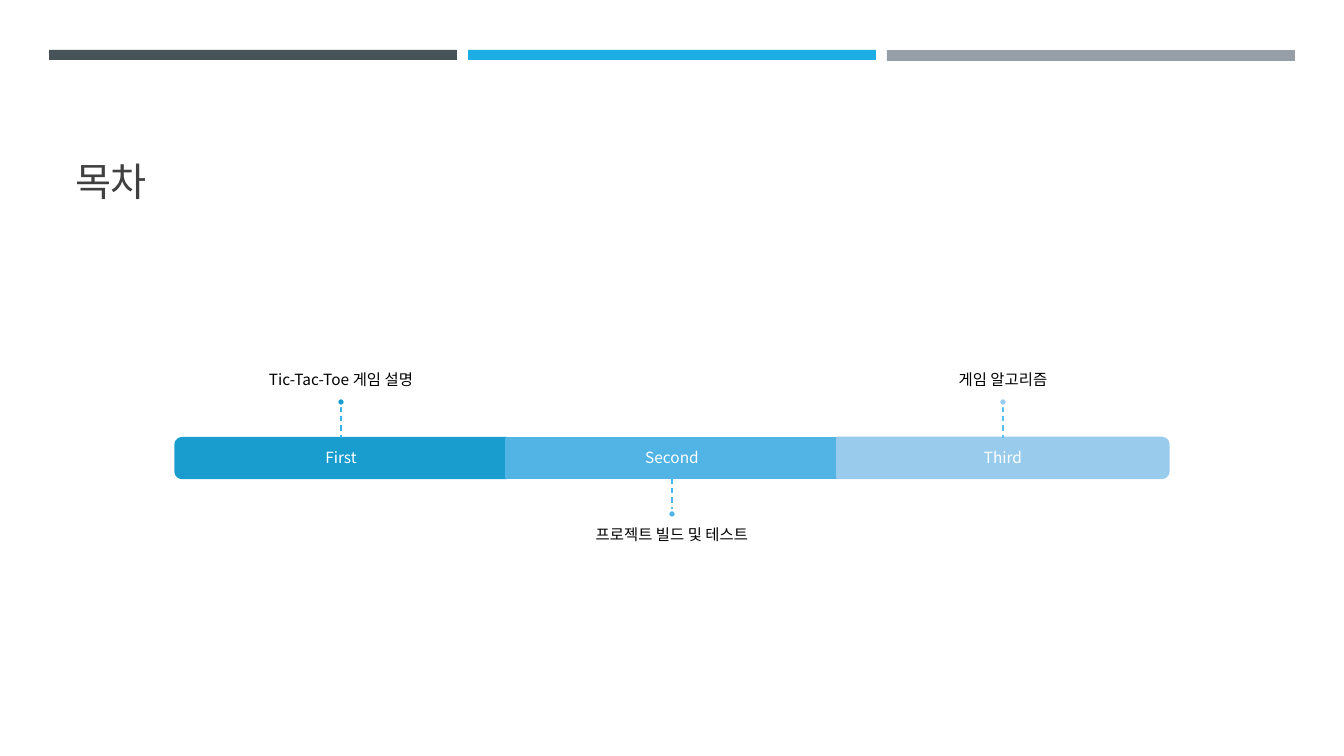
from lxml import etree
from pptx import Presentation, util as u
from pptx.dml.color import RGBColor
from pptx.enum import dml, shapes, text
from pptx.oxml import ns

SLATE = RGBColor(0x46, 0x53, 0x59)
CYAN = RGBColor(0x1C, 0xAD, 0xE4)
GREY = RGBColor(0x96, 0x9F, 0xA7)
CHARCOAL = RGBColor(0x40, 0x40, 0x40)
BLACK = RGBColor(0x00, 0x00, 0x00)
WHITE = RGBColor(0xFF, 0xFF, 0xFF)
DEEP_BLUE = RGBColor(0x19, 0x9D, 0xCF)
MID_BLUE = RGBColor(0x52, 0xB3, 0xE5)
PALE_BLUE = RGBColor(0x99, 0xCB, 0xEC)
DEEP_DASH = RGBColor(0x36, 0xB3, 0xE9)
MID_DASH = RGBColor(0x48, 0xB8, 0xEC)
PALE_DASH = RGBColor(0x5A, 0xBE, 0xEF)

Preset = shapes.MSO_SHAPE
Anchor = text.MSO_ANCHOR
Align = text.PP_ALIGN


class SlideBuilder:
    """Draws styled elements on one slide, with lengths in px."""

    scale = 914400 / 100.8
    font = "Noto Sans CJK KR"
    outline = u.Pt(1.75)

    def __init__(self, width, height):
        self.presentation = Presentation()
        self.presentation.slide_width = self.px(width)
        self.presentation.slide_height = self.px(height)
        self.slide = self.presentation.slides.add_slide(self.presentation.slide_layouts[6])

    def px(self, length):
        return u.Emu(round(length * self.scale))

    def box(self, *lengths):
        return [self.px(length) for length in lengths]

    def shape(self, preset, left, top, width, height, fill, line=None, rotation=0):
        shape = self.slide.shapes.add_shape(preset, *self.box(left, top, width, height))
        shape.shadow.inherit = False
        shape.rotation = rotation
        shape.fill.solid()
        shape.fill.fore_color.rgb = fill
        if line is None:
            shape.line.fill.background()
        else:
            shape.line.color.rgb = line
            shape.line.width = self.outline

    def text(self, words, left, top, width, height, size, color, anchor,
             align=Align.CENTER, insets=(0, 0, 0, 0), spacing=0.9):
        frame = self.slide.shapes.add_textbox(*self.box(left, top, width, height)).text_frame
        frame.word_wrap = True
        frame.vertical_anchor = anchor
        (frame.margin_left, frame.margin_top,
         frame.margin_right, frame.margin_bottom) = self.box(*insets)
        paragraph = frame.paragraphs[0]
        paragraph.alignment = align
        paragraph.line_spacing = spacing
        run = paragraph.add_run()
        run.text = words
        run.font.size = u.Pt(size)
        run.font.color.rgb = color
        run.font.name = self.font
        east_asian = etree.SubElement(run.font._element, ns.qn("a:ea"))
        east_asian.set("typeface", self.font)

    def dashed_line(self, x, top, bottom, color):
        line = self.slide.shapes.add_connector(
            shapes.MSO_CONNECTOR.STRAIGHT, *self.box(x, top, x, bottom))
        line.line.color.rgb = color
        line.line.width = u.Pt(1)
        line.line.dash_style = dml.MSO_LINE.DASH
        etree.SubElement(line._element.spPr, ns.qn("a:effectLst"))

    def segment(self, center, middle, width, height, color, rotation):
        if rotation:
            self.shape(Preset.ROUND_2_SAME_RECTANGLE, center - height / 2,
                       middle - width / 2, height, width, color, color, rotation)
        else:
            self.shape(Preset.RECTANGLE, center - width / 2,
                       middle - height / 2, width, height, color, color)

    def step(self, center, name, topic, color, dash, rotation, above):
        middle, width, height = 458, 331, 40
        self.segment(center, middle, width, height, color, rotation)
        self.text(name, center - width / 2, middle - height / 2, width, height,
                  11, WHITE, Anchor.MIDDLE, insets=(9, 9, 9, 9))
        side = -1 if above else 1
        dot = middle + side * 56
        self.dashed_line(center, *sorted((middle + side * 20, middle + side * 52)), dash)
        self.shape(Preset.OVAL, center - 4, dot - 4, 8, 8, color, WHITE)
        label_top = 258 if above else 518
        anchor = Anchor.BOTTOM if above else Anchor.TOP
        insets = (0, 0, 0, 9) if above else (0, 9, 0, 0)
        self.text(topic, center - 276, label_top, 552, 140, 11, BLACK, anchor, insets=insets)


def main():
    builder = SlideBuilder(1344, 756)
    for index, (color, height) in enumerate([(SLATE, 10), (CYAN, 10), (GREY, 11)]):
        builder.shape(Preset.RECTANGLE, 49 + 419 * index, 50, 408, height, color)
    builder.text("목차", 65, 78, 1216, 131, 28, CHARCOAL, Anchor.BOTTOM,
                 Align.LEFT, (10, 5, 10, 5), 1.0)
    steps = [
        ("First", "Tic-Tac-Toe 게임 설명", DEEP_BLUE, DEEP_DASH, 270, True),
        ("Second", "프로젝트 빌드 및 테스트", MID_BLUE, MID_DASH, 0, False),
        ("Third", "게임 알고리즘", PALE_BLUE, PALE_DASH, 90, True),
    ]
    for index, step in enumerate(steps):
        builder.step(341 + 331 * index, *step)
    builder.presentation.save("out.pptx")


if __name__ == "__main__":
    main()
